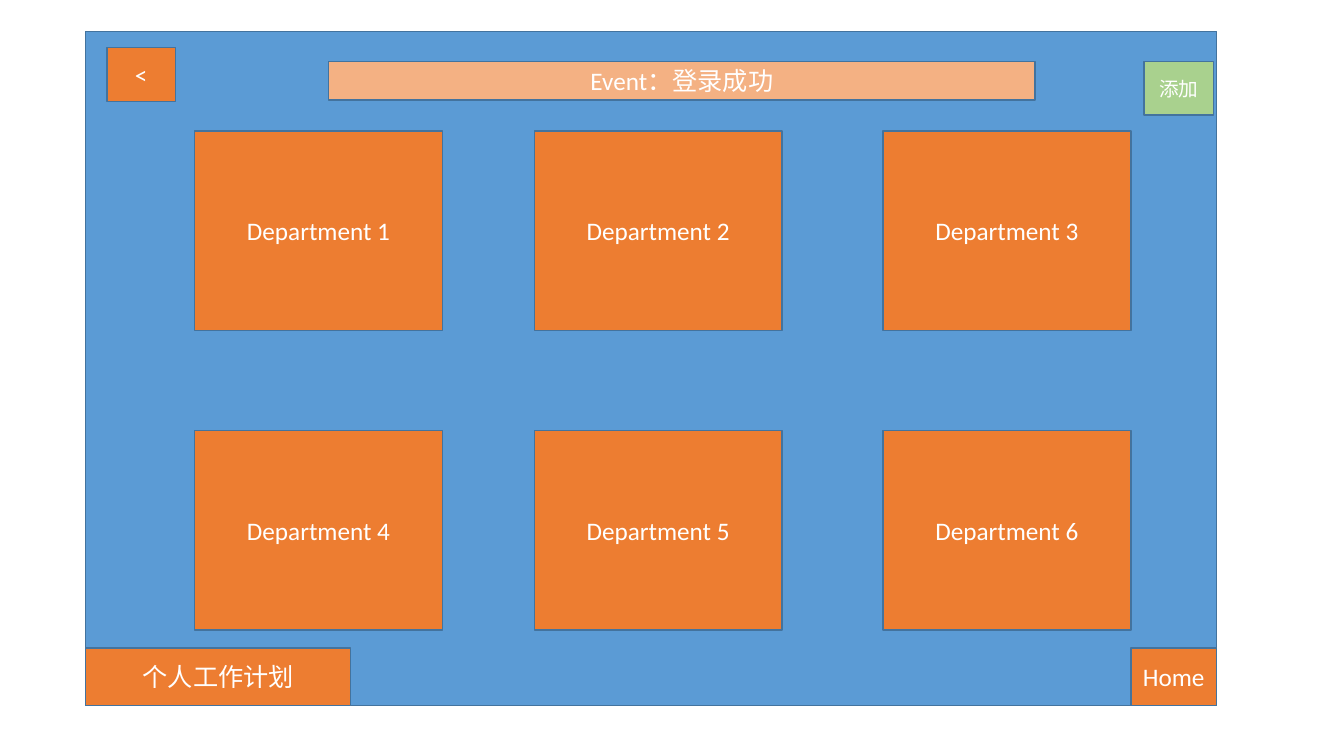
from pptx import Presentation
from pptx.dml.color import RGBColor
from pptx.enum.shapes import MSO_SHAPE
from pptx.enum.text import MSO_ANCHOR, MSO_AUTO_SIZE, PP_ALIGN
from pptx.util import Pt

RECT = MSO_SHAPE.RECTANGLE
MIDDLE = MSO_ANCHOR.MIDDLE
CENTER = PP_ALIGN.CENTER
NO_FIT = MSO_AUTO_SIZE.NONE
TITLE_ONLY = 5

FONT = "Calibri"
COLORS = {
    "panel": "5B9BD5",
    "button": "ED7D31",
    "event": "F4B183",
    "add": "A9D18E",
    "outline": "43739E",
    "text": "FFFFFF",
}

PANEL_LEFT, PANEL_TOP, PANEL_WIDTH, PANEL_HEIGHT = 61.2, 22.3, 807.8, 481.7
CARD_WIDTH, CARD_HEIGHT = 177.1, 142.6
CARD_COLUMNS = (139, 381.6, 630.7)
CARD_ROWS = (93.6, 307.4)
FOOTER_HEIGHT = 41
HOME_WIDTH = 61.2


def rgb(name):
    return RGBColor.from_string(COLORS[name])


def paint(sp, color):
    sp.fill.solid()
    sp.fill.fore_color.rgb = rgb(color)
    sp.line.color.rgb = rgb("outline")
    sp.line.width = Pt(1)


def write(sp, text, size):
    tf = sp.text_frame
    tf.word_wrap = True
    tf.auto_size = NO_FIT
    tf.vertical_anchor = MIDDLE
    p = tf.paragraphs[0]
    p.alignment = CENTER
    p.line_spacing = 1.0
    r = p.add_run()
    r.text = text
    r.font.name = FONT
    r.font.size = Pt(size)
    r.font.color.rgb = rgb("text")


def add_box(s, left, top, width, height, color="button", text="", size=18):
    sp = s.shapes.add_shape(RECT, Pt(left), Pt(top), Pt(width), Pt(height))
    sp.shadow.inherit = False
    paint(sp, color)
    if text:
        write(sp, text, size)


def set_title(s, left, top, width, height, text):
    sp = s.shapes.title
    sp.left, sp.top, sp.width, sp.height = Pt(left), Pt(top), Pt(width), Pt(height)
    paint(sp, "event")
    write(sp, text, 18)
    # Bring the title in front of the panel
    s.shapes._spTree.append(sp._element)


def add_departments(s):
    number = 1
    for top in CARD_ROWS:
        for left in CARD_COLUMNS:
            add_box(s, left, top, CARD_WIDTH, CARD_HEIGHT, text=f"Department {number}")
            number += 1


def main():
    prs = Presentation()
    prs.slide_width, prs.slide_height = Pt(960), Pt(540)
    s = prs.slides.add_slide(prs.slide_layouts[TITLE_ONLY])

    # Screen panel and department grid
    add_box(s, PANEL_LEFT, PANEL_TOP, PANEL_WIDTH, PANEL_HEIGHT, "panel")
    add_departments(s)

    # Header: back, event title, add
    add_box(s, 76.3, 34, 49, 38.7, text="<")
    set_title(s, 234.7, 43.9, 504.7, 27.4, "Event：登录成功")
    add_box(s, 817.2, 43.9, 49.7, 38.2, "add", "添加", 14)

    # Footer: personal plan and home, in the panel's lower corners
    footer_top = PANEL_TOP + PANEL_HEIGHT - FOOTER_HEIGHT
    home_left = PANEL_LEFT + PANEL_WIDTH - HOME_WIDTH
    add_box(s, PANEL_LEFT, footer_top, 189.4, FOOTER_HEIGHT, text="个人工作计划")
    add_box(s, home_left, footer_top, HOME_WIDTH, FOOTER_HEIGHT, text="Home")

    prs.save("out.pptx")


if __name__ == "__main__":
    main()
